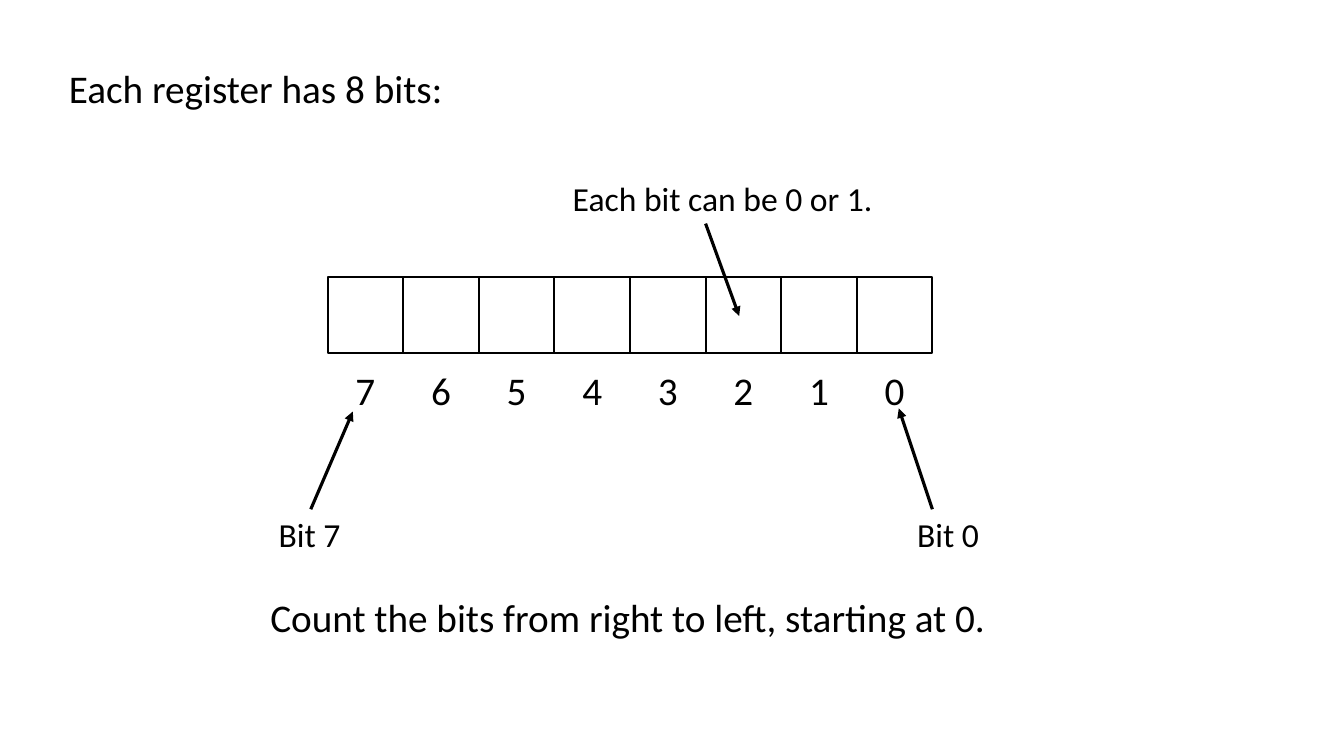
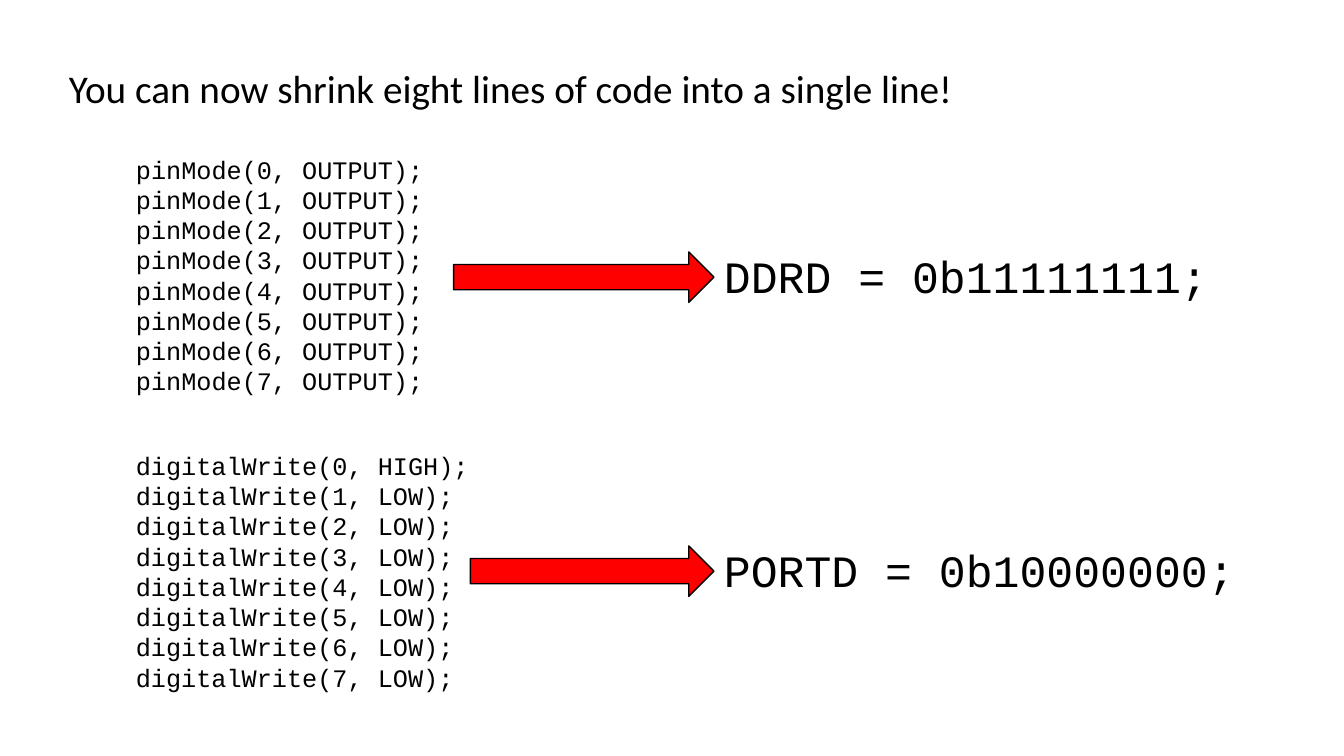
from dataclasses import dataclass

from lxml.etree import SubElement
from pptx import Presentation
from pptx.dml.color import RGBColor
from pptx.enum.shapes import MSO_CONNECTOR as Connector, MSO_SHAPE as Preset
from pptx.enum.text import MSO_ANCHOR as Anchor, MSO_AUTO_SIZE as AutoSize, PP_ALIGN as Align
from pptx.oxml.ns import qn
from pptx.util import Pt

PX = 9525  # EMU in one px, 96 px to the inch
TITLE_ONLY = 5


@dataclass(frozen=True)
class Theme:
    ink: RGBColor = RGBColor(0x00, 0x00, 0x00)
    paper: RGBColor = RGBColor(0xFF, 0xFF, 0xFF)
    accent: RGBColor = RGBColor(0xFF, 0x00, 0x00)
    body_font: str = "Calibri"
    code_font: str = "Courier New"
    heading: int = 28
    label: int = 24
    listing: int = 18
    result: int = 32


@dataclass(frozen=True)
class Box:
    left: int
    top: int
    width: int
    height: int

    def inner(self, left, top, width, height):
        """Box whose left and top are measured from this one."""
        return Box(self.left + left, self.top + top, width, height)

    def emu(self):
        return [length * PX for length in (self.left, self.top, self.width, self.height)]


THEME = Theme()
TITLE_BOX = Box(56, 56, 1040, 55)


# Shared parts
def write_text(frame, text, size=THEME.heading, font=THEME.body_font, align=Align.LEFT):
    frame.word_wrap = True
    frame.vertical_anchor = Anchor.TOP
    frame.text = text
    for paragraph in frame.paragraphs:
        paragraph.alignment = align
        paragraph.font.size = Pt(size)
        paragraph.font.name = font
        paragraph.font.color.rgb = THEME.ink


def add_text(slide, box, text, **text_format):
    shape = slide.shapes.add_textbox(*box.emu())
    write_text(shape.text_frame, text, **text_format)
    shape.text_frame.auto_size = AutoSize.SHAPE_TO_FIT_TEXT


def add_block(slide, box, preset, fill, line_width):
    shape = slide.shapes.add_shape(preset, *box.emu())
    shape.shadow.inherit = False
    shape.fill.solid()
    shape.fill.fore_color.rgb = fill
    shape.line.color.rgb = THEME.ink
    shape.line.width = Pt(line_width)
    return shape


def add_pointer(slide, box, start, end):
    """Arrow between two points measured from the box's corner."""
    points = [(box.left + x, box.top + y) for x, y in (start, end)]
    lengths = [length * PX for point in points for length in point]
    connector = slide.shapes.add_connector(Connector.STRAIGHT, *lengths)
    connector.line.color.rgb = THEME.ink
    connector.line.width = Pt(2.25)
    SubElement(connector.line._get_or_add_ln(), qn("a:tailEnd"), type="triangle")
    SubElement(connector._element.spPr, qn("a:effectLst"))


def add_titled_slide(presentation, title):
    slide = presentation.slides.add_slide(presentation.slide_layouts[TITLE_ONLY])
    shape = slide.shapes.title
    shape.left, shape.top, shape.width, shape.height = TITLE_BOX.emu()
    write_text(shape.text_frame, title)
    shape.text_frame.auto_size = AutoSize.NONE
    return slide


# Register: a row of cells with the bit numbers beneath
def draw_register(slide, box, bits=8):
    cell = box.width // bits
    for column in range(bits):
        left = column * cell
        add_block(slide, box.inner(left, 0, cell, box.height), Preset.RECTANGLE, THEME.paper, 1.5)
        add_text(slide, box.inner(left, 80, cell, 55), str(bits - 1 - column), align=Align.CENTER)


# Notes around the register: label, its place, and its arrow
def draw_register_notes(slide, box):
    notes = [
        ("Each bit can be 0 or 1.", (224, -99, 328, 48), (360, -51), (392, 37)),
        ("Bit 7", (-56, 221, 96, 48), (-16, 221), (24, 128)),
        ("Bit 0", (552, 221, 96, 48), (576, 221), (544, 125)),
    ]
    for label, place, start, end in notes:
        add_text(slide, box.inner(*place), label, size=THEME.label)
        add_pointer(slide, box, start, end)
    add_text(slide, box.inner(-64, 296, 712, 55), "Count the bits from right to left, starting at 0.")


# Code row: a listing, an arrow, and the line that replaces it
def draw_code_row(slide, box, lines, result, listing_width, arrow_width, result_offset):
    result_left = 560
    add_text(slide, box.inner(0, 0, listing_width, box.height), "\n".join(lines),
             size=THEME.listing, font=THEME.code_font)
    add_text(slide, box.inner(result_left, result_offset, box.width - result_left, 61), result,
             size=THEME.result, font=THEME.code_font)
    arrow_box = box.inner(result_left - arrow_width, result_offset + 8, arrow_width, 48)
    add_block(slide, arrow_box, Preset.RIGHT_ARROW, THEME.accent, 1)


def build_register_slide(presentation):
    slide = add_titled_slide(presentation, "Each register has 8 bits:")
    register_box = Box(312, 264, 576, 72)
    draw_register(slide, register_box)
    draw_register_notes(slide, register_box)


def build_code_slide(presentation):
    slide = add_titled_slide(presentation, "You can now shrink eight lines of code into a single line!")
    modes = [f"pinMode({pin}, OUTPUT);" for pin in range(8)]
    writes = [f"digitalWrite({pin}, {'LOW' if pin else 'HIGH'});" for pin in range(8)]
    draw_code_row(slide, Box(120, 142, 1096, 242), modes, "DDRD = 0b11111111;",
                  listing_width=304, arrow_width=248, result_offset=90)
    draw_code_row(slide, Box(120, 424, 1096, 242), writes, "PORTD = 0b10000000;",
                  listing_width=432, arrow_width=232, result_offset=88)


def main():
    presentation = Presentation()
    presentation.slide_width = 1280 * PX
    presentation.slide_height = 720 * PX
    build_register_slide(presentation)
    build_code_slide(presentation)
    presentation.save("out.pptx")


if __name__ == "__main__":
    main()
